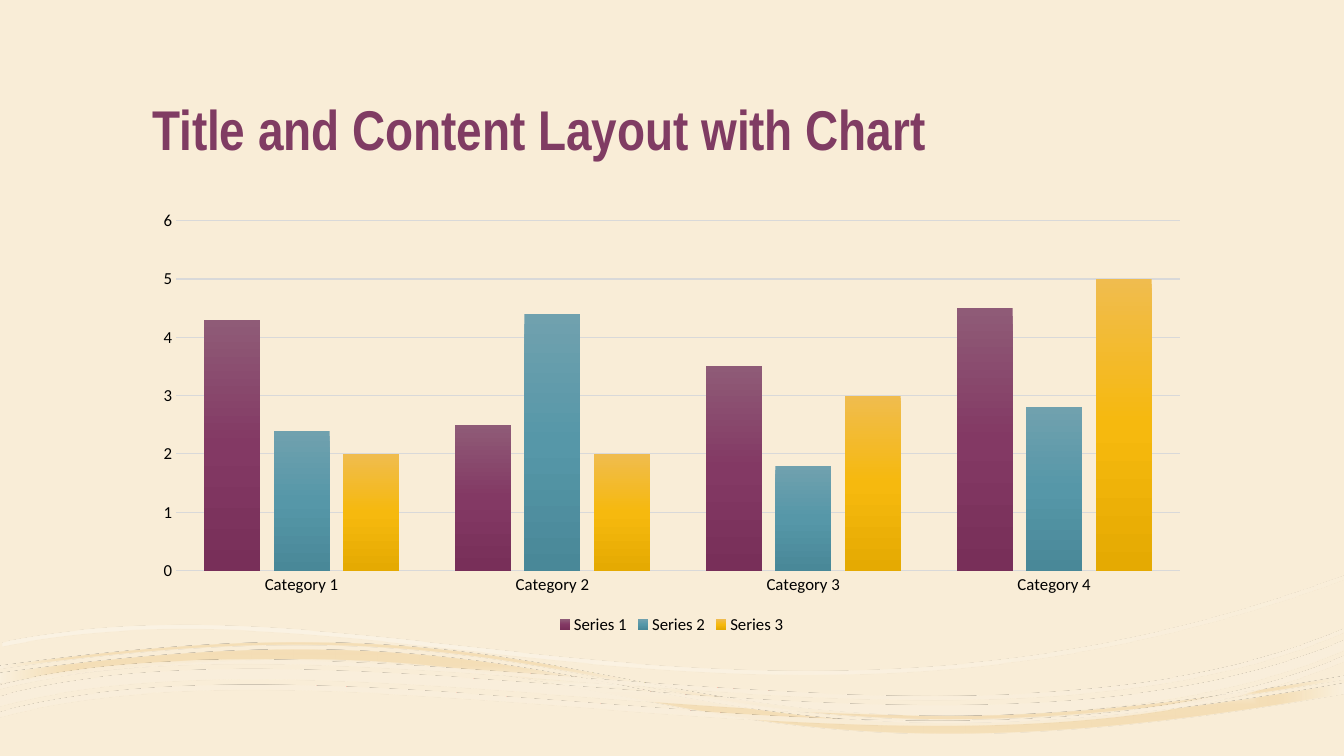
from collections import namedtuple
from dataclasses import dataclass
from math import cos, radians, sin

from lxml import etree
from pptx import Presentation
from pptx.chart.data import CategoryChartData
from pptx.dml.color import RGBColor
from pptx.enum.chart import XL_CHART_TYPE as ChartType
from pptx.enum.chart import XL_LEGEND_POSITION as LegendPosition
from pptx.enum.chart import XL_TICK_MARK as TickMark
from pptx.enum.text import MSO_ANCHOR as Anchor
from pptx.enum.text import MSO_AUTO_SIZE as AutoSize
from pptx.enum.text import PP_ALIGN as Align
from pptx.oxml.ns import qn
from pptx.util import Cm, Pt

Box = namedtuple("Box", "left top width height")


@dataclass(frozen=True)
class Theme:
    background: str = "F9EDD7"
    title: str = "803C63"
    label: str = "000000"
    grid: str = "D9D9D9"
    title_font: str = "Arial Narrow"
    body_font: str = "Calibri"
    title_size: int = 40
    label_size: int = 12
    # Gradient stops: position, colour, opacity, all but the colour in percent
    sand: tuple = ((0, "FAF1DF", 90), (18, "F4DEB7", 100),
                   (37, "F4DDB3", 90), (100, "FAF1DF", 100))
    mist: tuple = ((36, "FFFFFF", 30), (100, "F9EDD7", 48))
    foam: tuple = ((36, "FFFFFF", 47), (100, "FAEFDC", 82))
    series: tuple = (("8F5B77", "833964", "782F59"),
                     ("70A1AE", "5697A8", "498898"),
                     ("F0BC4E", "F6B90E", "E5AA02"))


THEME = Theme()


def set_font(font, name, size, color, bold=False):
    font.name, font.size, font.bold = name, Pt(size), bold
    font.color.rgb = RGBColor.from_string(color)


def write_text(frame, text, align=Align.LEFT, anchor=Anchor.TOP, spacing=1.0, **font):
    frame.word_wrap = True
    frame.auto_size = AutoSize.NONE
    frame.vertical_anchor = anchor
    paragraph = frame.paragraphs[0]
    paragraph.alignment, paragraph.line_spacing = align, spacing
    run = paragraph.add_run()
    run.text = text
    set_font(run.font, **font)


def fill_gradient(fill, properties, stops, angle=None, path=None, focus=()):
    """Swap a solid fill for a linear or path gradient."""
    fill.solid()
    gradient = etree.Element(qn("a:gradFill"), rotWithShape="1")
    stop_list = etree.SubElement(gradient, qn("a:gsLst"))
    for position, color, opacity in stops:
        stop = etree.SubElement(stop_list, qn("a:gs"), pos=str(position * 1000))
        rgb = etree.SubElement(stop, qn("a:srgbClr"), val=color)
        if opacity < 100:
            etree.SubElement(rgb, qn("a:alpha"), val=str(opacity * 1000))
    if path:
        shade = etree.SubElement(gradient, qn("a:path"), path=path)
        sides = {side: str(value * 1000) for side, value in zip("ltrb", focus)}
        etree.SubElement(shade, qn("a:fillToRect"), **sides)
    else:
        etree.SubElement(gradient, qn("a:lin"), ang=str(angle * 60000), scaled="0")
    properties.replace(properties.find(qn("a:solidFill")), gradient)


# Wave geometry: edges are chained cubic curves, in cm from the wave box
WAVE_TURN = -3.5
WAVE_PIVOT = (16.93, 3.2)
UNITS_PER_CM = 1000
CURVE_STEPS = 32


def shift(edge, distance):
    return [(x, y + distance) for x, y in edge]


def ribbon(edge, thickness):
    return edge, shift(edge, thickness)


def sample(edge):
    points = [edge[0]]
    for first in range(0, len(edge) - 1, 3):
        controls = edge[first:first + 4]
        for step in range(1, CURVE_STEPS + 1):
            t = step / CURVE_STEPS
            weights = ((1 - t) ** 3, 3 * t * (1 - t) ** 2, 3 * t * t * (1 - t), t ** 3)
            points.append(tuple(sum(w * p[axis] for w, p in zip(weights, controls))
                                for axis in (0, 1)))
    return points


def unturn(point, box):
    """Undo the wave rotation, which the shape applies again."""
    angle = radians(-WAVE_TURN)
    dx, dy = (value - middle for value, middle in zip(point, WAVE_PIVOT))
    x = box.left + WAVE_PIVOT[0] + dx * cos(angle) - dy * sin(angle)
    y = box.top + WAVE_PIVOT[1] + dx * sin(angle) + dy * cos(angle)
    return round(x * UNITS_PER_CM), round(y * UNITS_PER_CM)


def draw_curves(outline, ribbons, origin):
    """Fill the outline element with the ribbons' cubic curves."""
    def add_command(tag, *points):
        command = etree.SubElement(outline, qn(tag))
        for point in points:
            x, y = (str(value - start) for value, start in zip(point, origin))
            etree.SubElement(command, qn("a:pt"), x=x, y=y)

    for child in list(outline):
        outline.remove(child)
    for upper, lower in ribbons:
        for tag, edge in (("a:moveTo", upper), ("a:lnTo", lower[::-1])):
            add_command(tag, edge[0])
            for first in range(1, len(edge), 3):
                add_command("a:cubicBezTo", *edge[first:first + 3])
        add_command("a:close")


def add_wave(group, box, ribbons, **gradient):
    ribbons = [[[unturn(point, box) for point in edge] for edge in pair]
               for pair in ribbons]
    # Sampled points give the frame its size, then true curves take their place
    points = [tuple(map(round, point))
              for pair in ribbons for edge in pair for point in sample(edge)]
    builder = group.shapes.build_freeform(*points[0], scale=Cm(1) / UNITS_PER_CM)
    builder.add_line_segments(points[1:])
    wave = builder.convert_to_shape()
    origin = [min(values) for values in zip(*points)]
    draw_curves(wave.element.spPr.find(".//" + qn("a:path")), ribbons, origin)
    wave.shadow.inherit = False
    wave.line.fill.background()
    fill_gradient(wave.fill, wave.element.spPr, **gradient)
    wave.rotation = WAVE_TURN


def add_waves(slide, box):
    right = box.width
    sand_top = [(0, 2.97), (3.15, 2.54), (5.64, 2.36), (7.77, 2.38),
                (17.02, 2.43), (18.75, 5.86), (right, 3.22)]
    sand_bottom = [(0, 3.22), (16.94, 0.81), (15.29, 6.73), (right, 3.48)]
    mist = [(0, 2.18), (9.47, 0.2), (19.15, 5.91), (right, 0.48)]
    foam_thin = [(0, 3.27), (8.92, 0.96), (24.33, 5.96), (right, 1.85)]
    foam_wide = [(0, 3.55), (8.86, 1.14), (24.26, 6.17), (right, 2.15)]

    group = slide.shapes.add_group_shape()
    add_wave(group, box, [(sand_top, sand_bottom),
                          (shift(sand_top, -0.18), shift(sand_bottom, -0.36))],
             stops=THEME.sand, path="shape", focus=(50, 50, 50, 50))
    add_wave(group, box, [ribbon(mist, 0.1)], stops=THEME.mist, angle=45)
    add_wave(group, box, [ribbon(shift(foam_wide, 0.39), 0.13),
                          ribbon(foam_wide, 0.25), ribbon(foam_thin, 0.1)],
             stops=THEME.foam, path="rect", focus=(100, 100, 0, 0))


def add_title(slide, box, text):
    title = slide.shapes.title
    title.left, title.top, title.width, title.height = map(Cm, box)
    write_text(title.text_frame, text, anchor=Anchor.BOTTOM, spacing=0.9, bold=True,
               name=THEME.title_font, size=THEME.title_size, color=THEME.title)
    slide.shapes.element.append(title.element)  # in front of the waves


def add_column_chart(slide, box, categories, series_values):
    data = CategoryChartData()
    data.categories = categories
    for name, values in series_values.items():
        data.add_series(name, values)
    chart = slide.shapes.add_chart(ChartType.COLUMN_CLUSTERED, *map(Cm, box), data).chart
    set_font(chart.font, THEME.body_font, THEME.label_size, THEME.label)
    chart.has_title = False

    # Columns
    plot = chart.plots[0]
    plot.vary_by_categories = False
    plot.gap_width, plot.overlap = 100, -24
    for series, colors in zip(plot.series, THEME.series):
        stops = [(position, color, 100) for position, color in zip((0, 50, 100), colors)]
        fill_gradient(series.format.fill, series._element.get_or_add_spPr(),
                      stops, angle=90)

    # Axes and grid
    category_axis, value_axis = chart.category_axis, chart.value_axis
    for axis in (category_axis, value_axis):
        axis.major_tick_mark = axis.minor_tick_mark = TickMark.NONE
    value_axis.minimum_scale, value_axis.maximum_scale = 0, 6
    value_axis.major_unit = 1
    value_axis.format.line.fill.background()
    for line in (category_axis.format.line, value_axis.major_gridlines.format.line):
        line.color.rgb = RGBColor.from_string(THEME.grid)
        line.width = Pt(0.75)

    # Legend
    chart.has_legend = True
    chart.legend.position = LegendPosition.BOTTOM
    chart.legend.include_in_layout = False


def main():
    presentation = Presentation()
    presentation.slide_width, presentation.slide_height = Cm(33.87), Cm(19.05)
    slide = presentation.slides.add_slide(presentation.slide_layouts[5])
    slide.background.fill.solid()
    slide.background.fill.fore_color.rgb = RGBColor.from_string(THEME.background)

    add_waves(slide, Box(0, 14, 33.87, 5.05))
    add_title(slide, Box(3.58, 0.84, 26.67, 3.38), "Title and Content Layout with Chart")
    add_column_chart(slide, Box(3.59, 5.09, 26.67, 11),
                     [f"Category {number}" for number in range(1, 5)],
                     {"Series 1": (4.3, 2.5, 3.5, 4.5),
                      "Series 2": (2.4, 4.4, 1.8, 2.8),
                      "Series 3": (2, 2, 3, 5)})
    presentation.save("out.pptx")


main()
